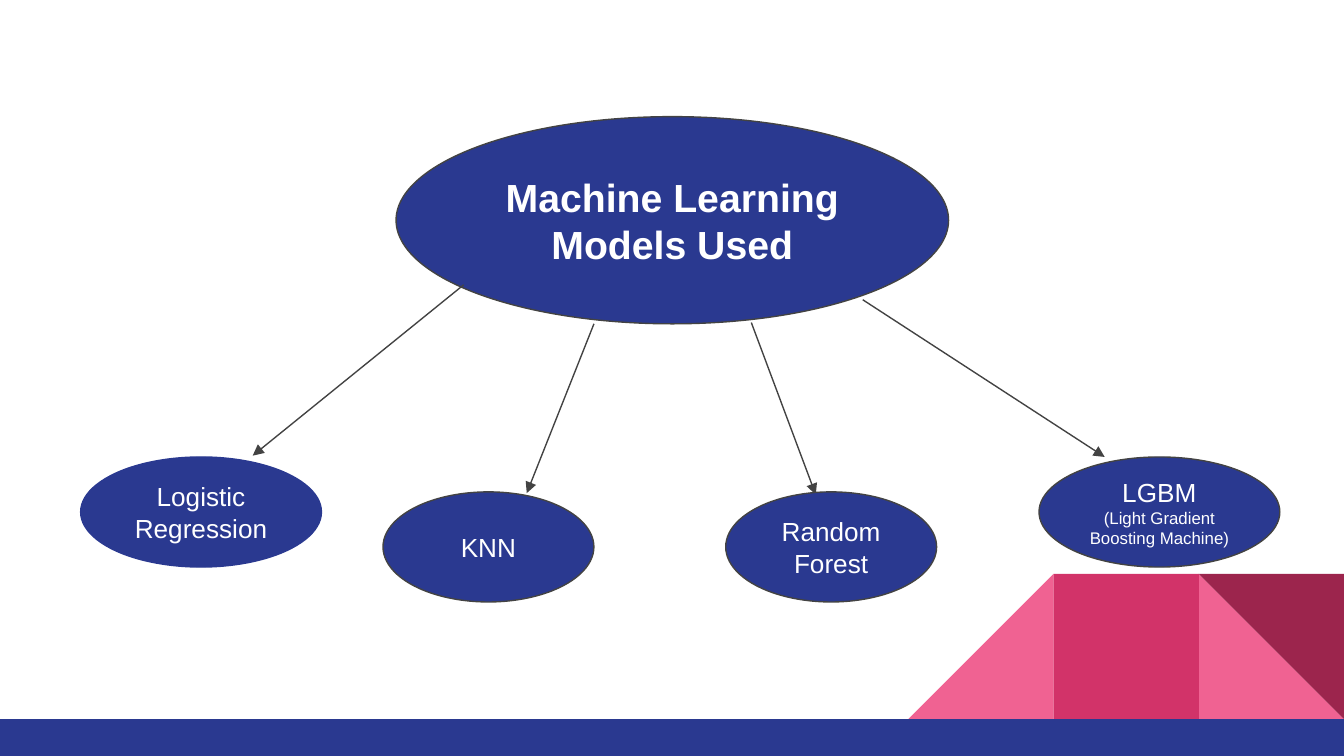
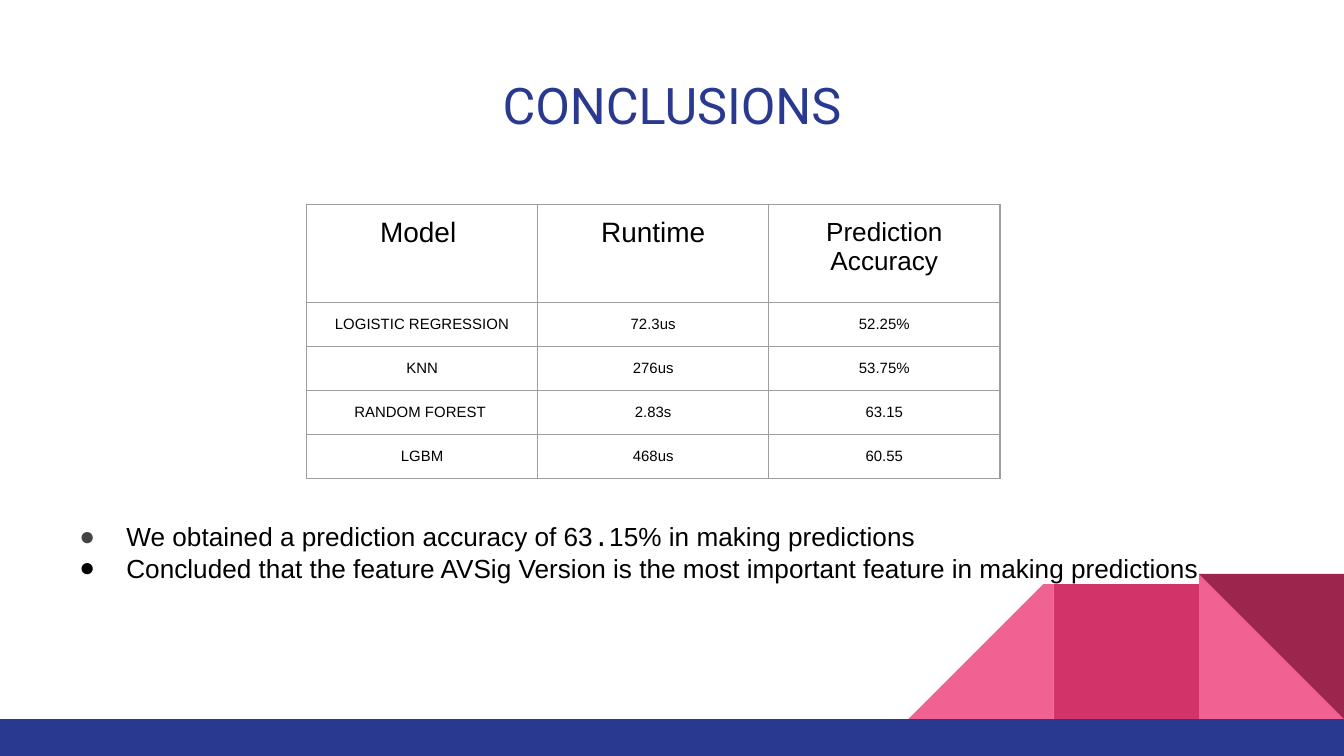
from lxml import etree
from pptx import Presentation
from pptx.dml.color import RGBColor
from pptx.enum.shapes import MSO_CONNECTOR, MSO_SHAPE as SHAPE
from pptx.enum.text import MSO_ANCHOR as ANCHOR, MSO_AUTO_SIZE, PP_ALIGN as ALIGN
from pptx.oxml.ns import qn
from pptx.util import Pt

THEME = dict(
    blue="2A3990", pink="F06292", rose="D23369", wine="9C254D",
    grey="434343", border="9E9E9E", white="FFFFFF", black="000000",
    font="Arial", title_font="Roboto", mono="Courier New",
    title=27, root=21, header=15, text=14, note=9, cell=8,
    line=0.75, inset=7.2,
)
T = THEME
WIDTH, HEIGHT = 720, 405

# Corner tiles: column counted from the right edge, shape, colour, extra settings
TILE, BAND_TOP = 77.76, 385.2
TILES = [
    (1, SHAPE.RIGHT_TRIANGLE, "pink", {}),
    (3, SHAPE.RIGHT_TRIANGLE, "pink", {"flip": True}),
    (2, SHAPE.RECTANGLE, "rose", {}),
    (1, SHAPE.RIGHT_TRIANGLE, "wine", {"rotation": 180}),
]

ROOT = ("Machine Learning Models Used", (212.2, 62.5, 296, 111))
# Lines of (text, size), box, outline, arrow start, arrow end
MODELS = [
    ([("Logistic Regression", "text")], (43.2, 244.8, 129, 59), "blue",
     (248.4, 152.6), (135.4, 244.1)),
    ([("KNN", "text")], (205.2, 263.5, 113, 59), "grey",
     (318.2, 173.5), (282.2, 264.2)),
    ([("Random Forest", "text")], (388.8, 263.5, 113, 59), "grey",
     (402.5, 172.8), (437, 265)),
    ([("LGBM", "text"), ("(Light Gradient Boosting Machine)", "note")],
     (556.6, 244.8, 129, 59), "grey", (462.2, 160.6), (591.8, 244.8)),
]

TITLE = ("CONCLUSIONS", (24.5, 32.4, 671, 47.5))
TABLE_AT, COL_W, HEADER_H, ROW_H = (164.2, 109.4), 123.84, 52.5, 23.6
HEADER = [("Model ", "header"), ("Runtime", "header"), ("Prediction Accuracy", "text")]
RESULTS = [
    ("LOGISTIC REGRESSION", "72.3us", "52.25%"),
    ("KNN", "276us", "53.75%"),
    ("RANDOM FOREST ", "2.83s", "63.15"),
    ("LGBM", "468us", "60.55"),
]
BODY_BOX, BODY_TEXT_TOP = (24.5, 87.8, 671, 281.5), 279
# Bullet colour, runs of (text, font)
FINDINGS = [
    ("grey", [("We obtained a prediction accuracy of 63", "font"), (".", "mono"),
              ("15% in making predictions", "font")]),
    ("black", [("Concluded that the feature AVSig Version is the most important "
                "feature in making predictions", "font")]),
]


def rgb(name):
    return RGBColor.from_string(T[name])


def pts(values):
    return [Pt(v) for v in values]


def sub(parent, tag, **attrs):
    el = etree.SubElement(parent, qn(tag))
    for key, value in attrs.items():
        el.set(key, str(value))
    return el


def format_frame(tf, **extra):
    margins = {f"margin_{side}": Pt(T["inset"]) for side in ("left", "top", "right", "bottom")}
    settings = {"word_wrap": True, "auto_size": MSO_AUTO_SIZE.NONE, **margins, **extra}
    for key, value in settings.items():
        setattr(tf, key, value)


def add_run(p, text, size, color, font="font", bold=False):
    r = p.add_run()
    r.text = text
    for key, value in dict(name=T[font], size=Pt(T[size]), bold=bold).items():
        setattr(r.font, key, value)
    r.font.color.rgb = rgb(color)
    return r


def place(sp, box):
    for key, value in zip(("left", "top", "width", "height"), pts(box)):
        setattr(sp, key, value)


def add_filled(s, kind, box, fill, line=None):
    sp = s.shapes.add_shape(kind, *pts(box))
    sp.shadow.inherit = False
    sp.fill.solid()
    sp.fill.fore_color.rgb = rgb(fill)
    if line:
        sp.line.color.rgb = rgb(line)
        sp.line.width = Pt(T["line"])
    else:
        sp.line.fill.background()
    return sp


def add_ellipse(s, lines, box, line="grey", bold=False):
    sp = add_filled(s, SHAPE.OVAL, box, "blue", line)
    tf = sp.text_frame
    format_frame(tf, vertical_anchor=ANCHOR.MIDDLE)
    for i, (text, size) in enumerate(lines):
        p = tf.add_paragraph() if i else tf.paragraphs[0]
        p.alignment = ALIGN.CENTER
        add_run(p, text, size, "white", bold=bold)


def add_arrow(s, start, end):
    c = s.shapes.add_connector(MSO_CONNECTOR.STRAIGHT, *pts(start + end))
    c.line.color.rgb = rgb("grey")
    c.line.width = Pt(T["line"])
    sub(c.line._get_or_add_ln(), "a:tailEnd", type="triangle")
    sub(c.element.spPr, "a:effectLst")


def decorate_master(prs, s):
    """Draw the tiles and the band on s, then move them to the slide master."""
    parts = []
    for column, kind, fill, extra in TILES:
        box = (WIDTH - column * TILE, BAND_TOP - TILE, TILE, TILE)
        sp = add_filled(s, kind, box, fill)
        sp.rotation = extra.get("rotation", 0)
        if extra.get("flip"):
            sp.element.spPr.find(qn("a:xfrm")).set("flipH", "1")
        parts.append(sp)
    parts.append(add_filled(s, SHAPE.RECTANGLE,
                            (0, BAND_TOP, WIDTH, HEIGHT - BAND_TOP), "blue"))
    tree = prs.slide_master.shapes.element
    for i, sp in enumerate(parts):
        sp.element.nvSpPr.cNvPr.set("id", str(100 + i))
        tree.insert(2 + i, sp.element)


def build_models(s):
    title, box = ROOT
    add_ellipse(s, [(title, "root")], box, bold=True)
    for *_, start, end in MODELS:
        add_arrow(s, start, end)
    for lines, box, outline, *_ in MODELS:
        add_ellipse(s, lines, box, outline)


def fill_cell(cell, text, size):
    format_values = {f"margin_{side}": Pt(T["inset"])
                     for side in ("left", "top", "right", "bottom")}
    for key, value in format_values.items():
        setattr(cell, key, value)
    p = cell.text_frame.paragraphs[0]
    p.alignment = ALIGN.CENTER
    add_run(p, text, size, "black")
    tcPr = cell._tc.get_or_add_tcPr()
    for side in "LRTB":
        ln = sub(tcPr, f"a:ln{side}", w=Pt(T["line"]))
        sub(sub(ln, "a:solidFill"), "a:srgbClr", val=T["border"])
    cell.fill.background()


def add_results(s):
    rows = [HEADER] + [[(text, "cell") for text in row] for row in RESULTS]
    heights = [HEADER_H] + [ROW_H] * len(RESULTS)
    size = (COL_W * len(HEADER), sum(heights))
    table = s.shapes.add_table(len(rows), len(HEADER), *pts(TABLE_AT + size)).table
    table.first_row = table.horz_banding = False
    for column in table.columns:
        column.width = Pt(COL_W)
    for i, (row, height) in enumerate(zip(rows, heights)):
        table.rows[i].height = Pt(height)
        for j, (text, size) in enumerate(row):
            fill_cell(table.cell(i, j), text, size)


def add_finding(p, bullet, runs):
    p.space_before = p.space_after = Pt(0)
    p.alignment = ALIGN.LEFT
    pPr = p._p.get_or_add_pPr()
    pPr.set("marL", str(Pt(36)))
    pPr.set("indent", str(Pt(-25.2)))
    sub(sub(pPr, "a:buClr"), "a:srgbClr", val=T[bullet])
    sub(pPr, "a:buFont", typeface=T["font"])
    sub(pPr, "a:buChar", char="●")
    for text, font in runs:
        rPr = add_run(p, text, "text", "black", font)._r.get_or_add_rPr()
        highlight = sub(rPr, "a:highlight")
        sub(highlight, "a:srgbClr", val=T["white"])
        rPr.find(qn("a:solidFill")).addnext(highlight)


def build_conclusions(s):
    text, box = TITLE
    title, body = s.shapes.title, s.placeholders[1]
    place(title, box)
    format_frame(title.text_frame, vertical_anchor=ANCHOR.TOP)
    p = title.text_frame.paragraphs[0]
    p.alignment = ALIGN.CENTER
    add_run(p, text, "title", "blue", "title_font")

    place(body, BODY_BOX)
    tf = body.text_frame
    format_frame(tf, vertical_anchor=ANCHOR.TOP, margin_top=Pt(BODY_TEXT_TOP - BODY_BOX[1]))
    for i, (bullet, runs) in enumerate(FINDINGS):
        add_finding(tf.add_paragraph() if i else tf.paragraphs[0], bullet, runs)
    add_results(s)


def main():
    prs = Presentation()
    prs.slide_width, prs.slide_height = Pt(WIDTH), Pt(HEIGHT)
    content, blank = prs.slide_layouts[1], prs.slide_layouts[6]
    s = prs.slides.add_slide(blank)
    decorate_master(prs, s)
    build_models(s)
    build_conclusions(prs.slides.add_slide(content))
    prs.save("out.pptx")


if __name__ == "__main__":
    main()
